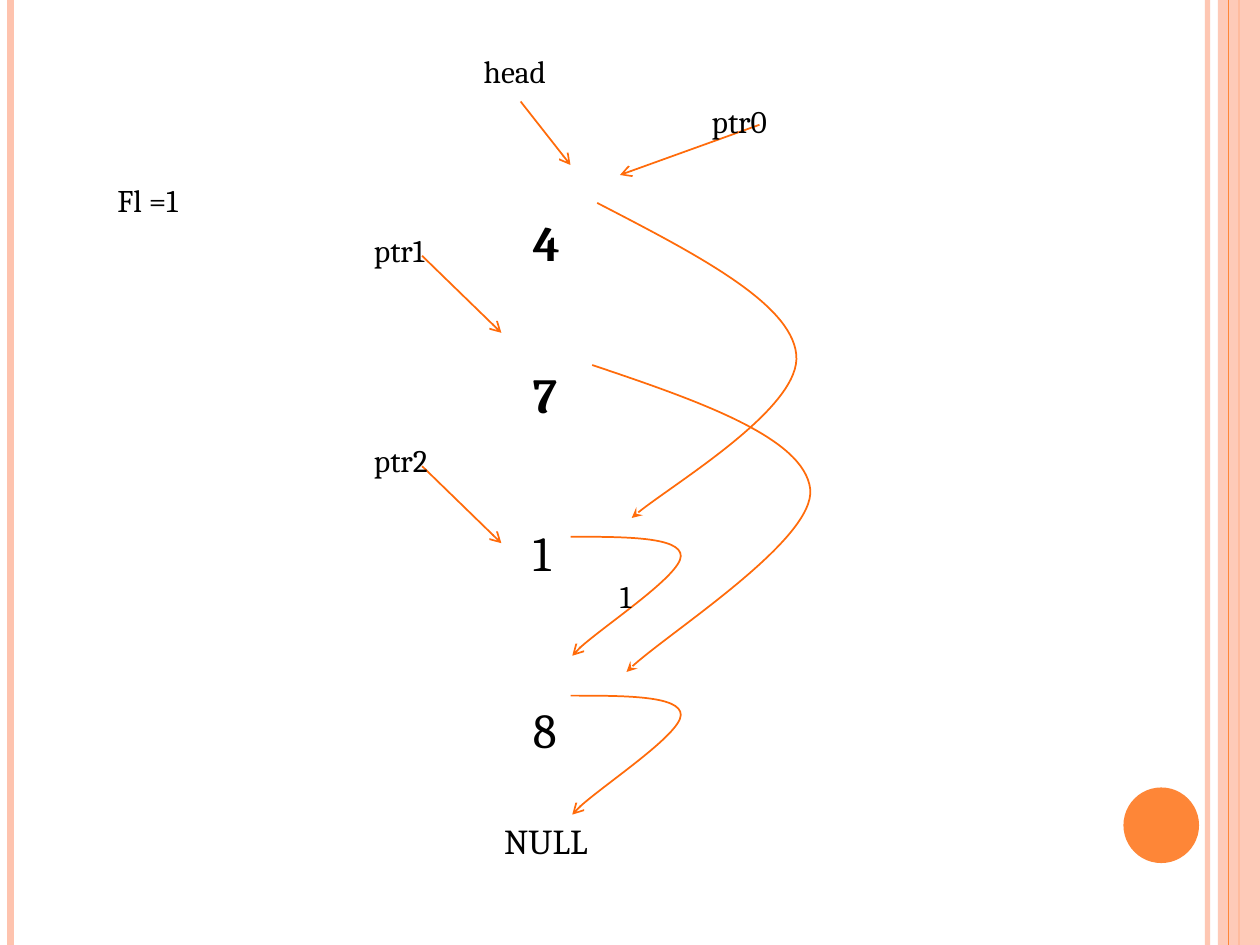
import lxml.etree
import pptx
import pptx.dml.color
import pptx.enum.shapes
import pptx.enum.text
import pptx.oxml.ns
import pptx.util

HUES = {"ink": "000000", "arrow": "FF6B0A", "peach": "FEC3AE", "orange": "FE8637"}
Pt = pptx.util.Pt
qn = pptx.oxml.ns.qn


def tint(hue):
    return pptx.dml.color.RGBColor.from_string(HUES[hue])


class Deck:
    """Holds the text style and the current slide."""

    font = {"name": "Cambria", "size": 18, "bold": False}

    def __init__(self, wide, high):
        self.show = pptx.Presentation()
        self.show.slide_width, self.show.slide_height = Pt(wide), Pt(high)
        self.slide = self.show.slides.add_slide(self.show.slide_layouts[6])
        self.shapes = self.slide.shapes

    def fade(self, part, alpha):
        for clr in part.iter(qn("a:srgbClr")):
            lxml.etree.SubElement(clr, qn("a:alpha"), val=str(alpha * 1000))

    def stroke(self, shape, hue, width, tip=None, alpha=None):
        shape.line.color.rgb = tint(hue)
        shape.line.width = Pt(width)
        edge = shape._element.spPr.find(qn("a:ln"))
        if alpha:
            self.fade(edge, alpha)
        if tip:
            lxml.etree.SubElement(edge, qn("a:tailEnd"), type=tip)

    def line(self, x1, y1, x2, y2, hue="arrow", width=1, **look):
        kind = pptx.enum.shapes.MSO_CONNECTOR.STRAIGHT
        line = self.shapes.add_connector(kind, Pt(x1), Pt(y1), Pt(x2), Pt(y2))
        self.stroke(line, hue, width, **look)
        lxml.etree.SubElement(line._element.spPr, qn("a:effectLst"))

    def solid(self, form, x, y, wide, high, hue, alpha=None):
        shape = self.shapes.add_shape(form, Pt(x), Pt(y), Pt(wide), Pt(high))
        shape.shadow.inherit = False
        shape.fill.solid()
        shape.fill.fore_color.rgb = tint(hue)
        shape.line.fill.background()
        if alpha:
            self.fade(shape._element.spPr, alpha)

    def label(self, frame, words, **style):
        para = frame.paragraphs[0]
        run = para.add_run()
        run.text = words
        for key, val in {**self.font, **style}.items():
            setattr(run.font, key, Pt(val) if key == "size" else val)
        run.font.color.rgb = tint("ink")
        return para

    def text(self, words, x, y, wide, high=29, wrap=True, **style):
        frame = self.shapes.add_textbox(Pt(x), Pt(y), Pt(wide), Pt(high)).text_frame
        frame.word_wrap = wrap
        frame.auto_size = pptx.enum.text.MSO_AUTO_SIZE.SHAPE_TO_FIT_TEXT
        self.label(frame, words, **style)

    def curve(self, start, spots, tip, words=None):
        """Draw cubic arcs; spots holds two handles and an end for each arc."""
        pen = self.shapes.build_freeform(*map(Pt, start))
        pen.add_line_segments([(Pt(x), Pt(y)) for x, y in spots], close=False)
        shape = pen.convert_to_shape()
        shape.shadow.inherit = False
        shape.fill.background()
        self.stroke(shape, "arrow", 1, tip)
        legs = list(shape._element.iter(qn("a:lnTo")))
        for i in range(0, len(legs), 3):
            arc = lxml.etree.Element(qn("a:cubicBezTo"))
            legs[i].addprevious(arc)
            for leg in legs[i:i + 3]:
                arc.append(leg[0])
                leg.getparent().remove(leg)
        if words:
            frame = shape.text_frame
            frame.vertical_anchor = pptx.enum.text.MSO_ANCHOR.MIDDLE
            para = self.label(frame, words)
            para.alignment = pptx.enum.text.PP_ALIGN.CENTER


def main():
    deck = Deck(720, 540)
    forms = pptx.enum.shapes.MSO_SHAPE

    # Side stripes and disc
    deck.line(690, 0, 690, 540, "peach", 3, alpha=93)
    deck.line(6, 0, 6, 540, "peach", 4.5)
    deck.line(708, 0, 708, 540, "orange", 1.5)
    deck.solid(forms.RECTANGLE, 696, 0, 24, 540, "peach", alpha=87)
    deck.line(702, 0, 702, 540, "orange", 0.75)
    deck.solid(forms.OVAL, 642, 450, 43.2, 43.2, "orange")

    # Node values
    for words, y, bold in (("4", 118, True), ("7", 204.5, True),
                           ("1", 295, False), ("8", 396, False)):
        deck.text(words, 297.5, y, 21.6, 41, size=28, bold=bold)
    deck.text("NULL", 281, 465, 96, 31.5, size=20)

    # Links to the next node
    for y, words in ((397.5, None), (306.7, "1")):
        deck.curve((326, y), [(357, y), (389, y), (389, y + 11),
                              (389, y + 22), (333, y + 59), (327, y + 68)],
                   "arrow", words)

    # Links that skip a node
    deck.curve((341.3, 116), [(396.7, 144.7), (452, 173), (455, 202.5),
                              (458.5, 232.5), (376.5, 281.5), (361, 296)], "stealth")
    deck.curve((338.4, 208.6), [(399, 229), (459.5, 250), (463, 279.5),
                                (466, 308), (375, 366), (358, 384)], "stealth")

    # Pointers and flag
    deck.text("Fl =1", 60, 100, 58, wrap=False)
    deck.text("head", 269.3, 26, 56)
    deck.line(297.5, 58, 326, 94.3, tip="arrow")
    deck.line(434, 71.3, 354.3, 100, tip="arrow")
    deck.text("ptr0", 399.6, 54.7, 50.4)
    for words, y in (("ptr1", 128.2), ("ptr2", 248.4)):
        deck.line(241.2, y + 18, 286.5, y + 62, tip="arrow")
        deck.text(words, 206.6, y, 50.4, wrap=False)

    deck.show.save("out.pptx")


if __name__ == "__main__":
    main()
